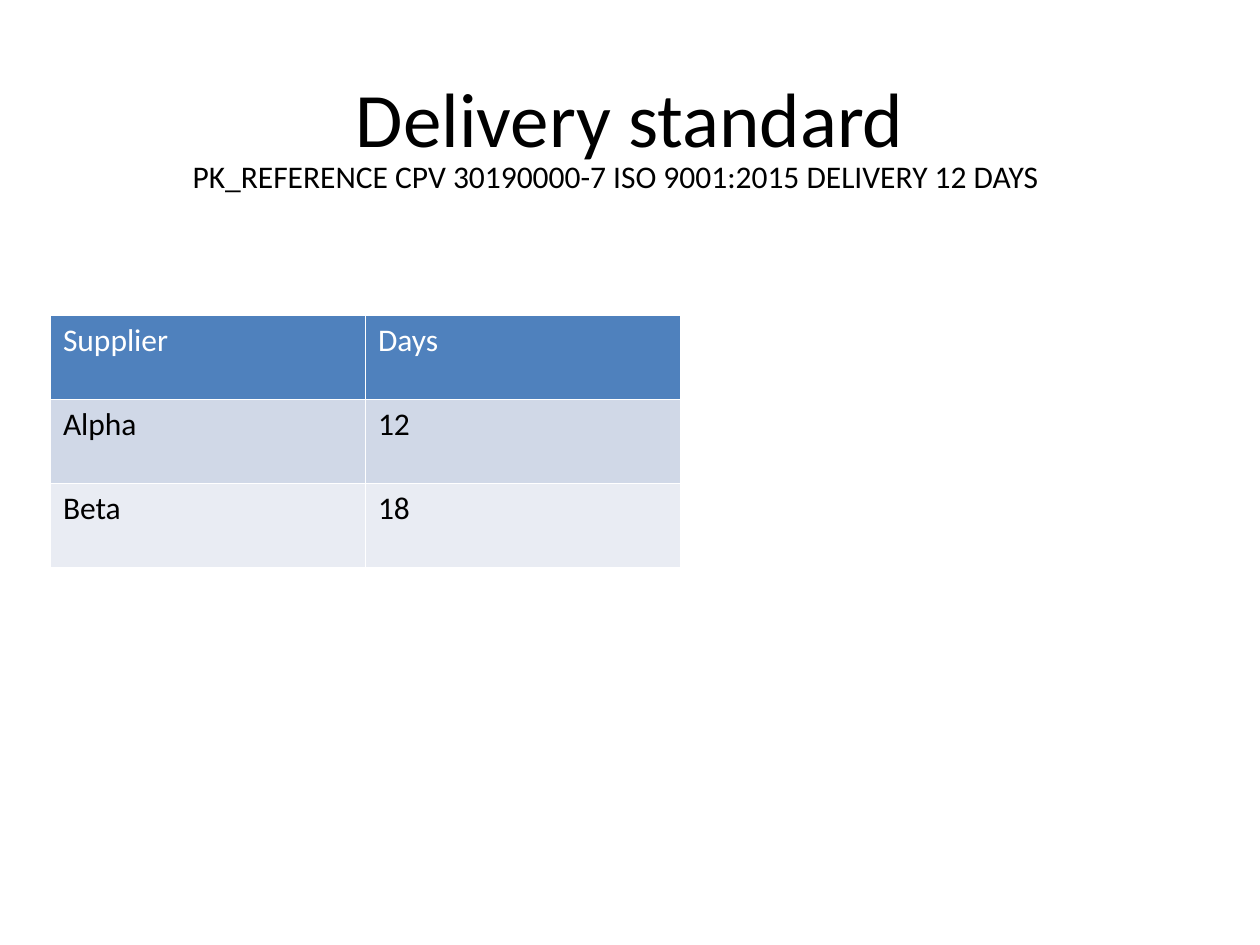
"""Build the delivery standard slide with its heading, reference and table."""
from dataclasses import dataclass

from lxml import etree
from pptx import Presentation
from pptx.dml.color import RGBColor
from pptx.enum.text import MSO_ANCHOR, PP_ALIGN
from pptx.oxml.ns import qn
from pptx.slide import Slide
from pptx.table import _Cell
from pptx.text.text import TextFrame
from pptx.util import Inches, Pt

LEFT, CENTER = PP_ALIGN.LEFT, PP_ALIGN.CENTER
TOP, MIDDLE = MSO_ANCHOR.TOP, MSO_ANCHOR.MIDDLE
BLACK = RGBColor(0x00, 0x00, 0x00)
WHITE = RGBColor(0xFF, 0xFF, 0xFF)
BLUE = RGBColor(0x4F, 0x81, 0xBD)
MIST = RGBColor(0xD0, 0xD8, 0xE7)
PALE = RGBColor(0xE9, 0xEC, 0xF3)
FONT = "Calibri"
SIDES = ("a:lnL", "a:lnR", "a:lnT", "a:lnB")


@dataclass
class Label:
    text: str
    left: float
    top: float
    width: float
    height: float
    size: int
    align: PP_ALIGN = LEFT
    anchor: MSO_ANCHOR = TOP
    wrap: bool = False


@dataclass
class Row:
    words: tuple[str, str]
    fill: RGBColor
    color: RGBColor = BLACK


LABELS = (
    Label("Delivery standard", 0.5, 0.3, 9, 1.25, 44, CENTER, MIDDLE, True),
    Label("PK_REFERENCE CPV 30190000-7 ISO 9001:2015 DELIVERY 12 DAYS",
          1.43, 1.2, 6.95, 0.4, 18),
)
ROWS = (
    Row(("Supplier", "Days"), BLUE, WHITE),
    Row(("Alpha", "12"), MIST),
    Row(("Beta", "18"), PALE),
)


def write(frame: TextFrame, text: str, size: int, color: RGBColor,
          align: PP_ALIGN = LEFT) -> None:
    para = frame.paragraphs[0]
    para.alignment = align
    run = para.add_run()
    run.text = text
    run.font.name = FONT
    run.font.size = Pt(size)
    run.font.bold = False
    run.font.color.rgb = color


def add_label(slide: Slide, label: Label) -> None:
    box = slide.shapes.add_textbox(Inches(label.left), Inches(label.top),
                                   Inches(label.width), Inches(label.height))
    frame = box.text_frame
    frame.word_wrap = label.wrap
    frame.vertical_anchor = label.anchor
    write(frame, label.text, label.size, BLACK, label.align)


def add_border(cell: _Cell) -> None:
    props = cell._tc.get_or_add_tcPr()
    for side in SIDES:
        line = etree.SubElement(props, qn(side), w=str(Pt(0.45)))
        fill = etree.SubElement(line, qn("a:solidFill"))
        etree.SubElement(fill, qn("a:srgbClr"), val=str(WHITE))


def add_grid(slide: Slide, rows: tuple[Row, ...]) -> None:
    table = slide.shapes.add_table(len(rows), len(rows[0].words), Inches(0.4),
                                   Inches(2.5), Inches(5), Inches(2)).table
    for line, row in enumerate(rows):
        for col, word in enumerate(row.words):
            cell = table.cell(line, col)
            add_border(cell)
            cell.fill.solid()
            cell.fill.fore_color.rgb = row.fill
            write(cell.text_frame, word, 18, row.color)


def main() -> None:
    deck = Presentation()
    deck.slide_width, deck.slide_height = Inches(10), Inches(7.5)
    slide = deck.slides.add_slide(deck.slide_layouts[6])
    for label in LABELS:
        add_label(slide, label)
    add_grid(slide, ROWS)
    deck.save("out.pptx")


if __name__ == "__main__":
    main()
